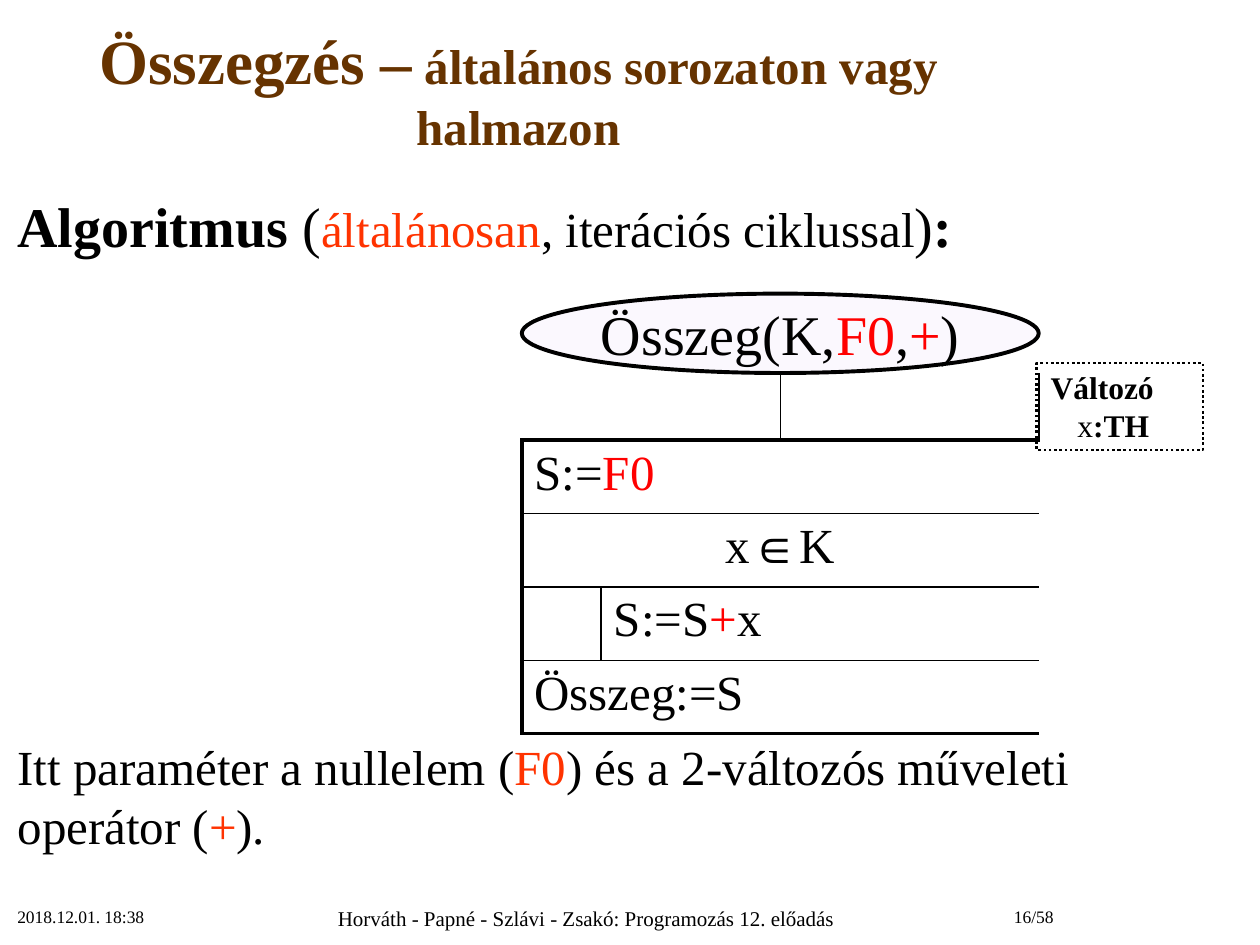
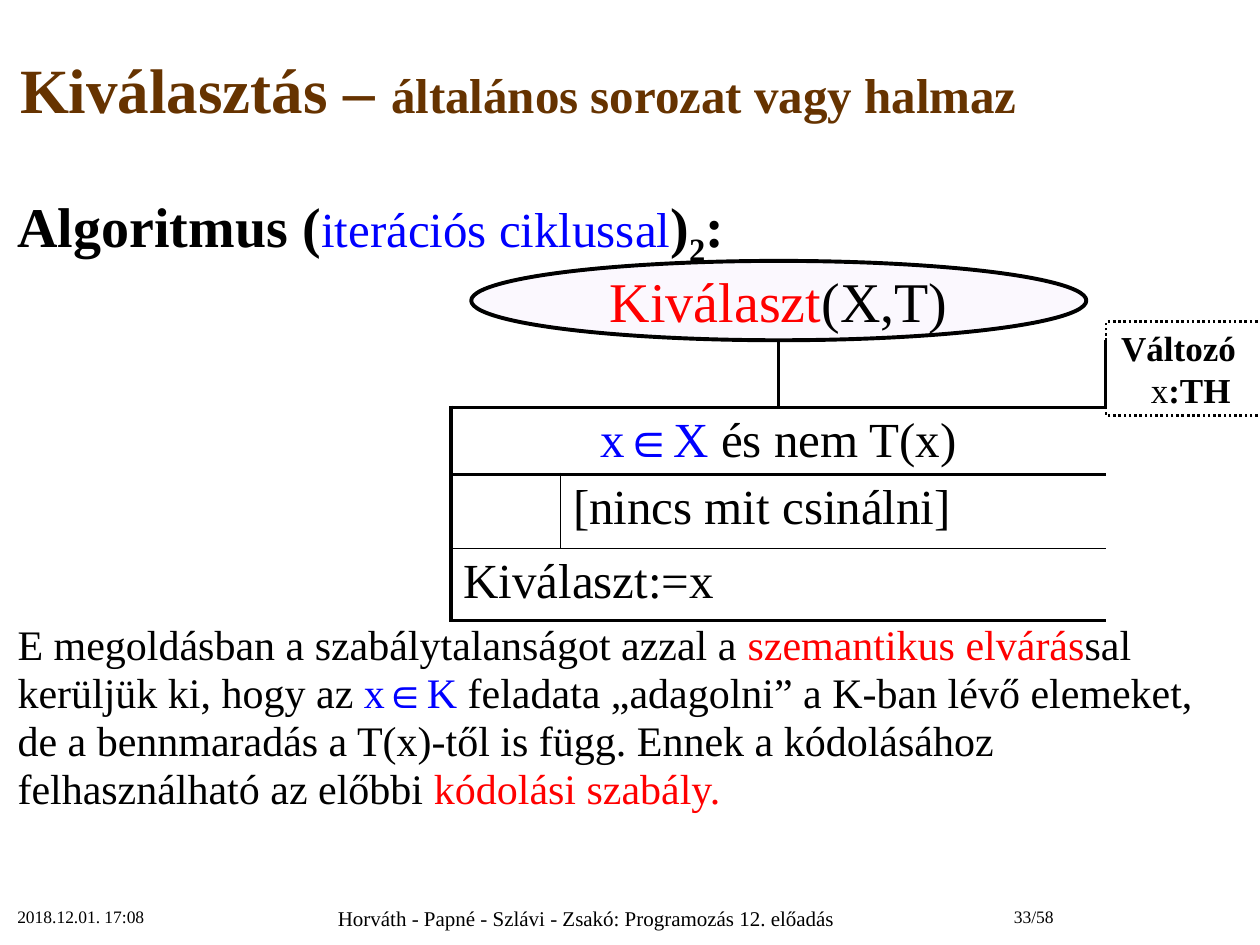
"""Build two slides on structograms for summation and selection."""
from dataclasses import dataclass
from typing import NamedTuple

from lxml import etree
from pptx import Presentation
from pptx import util as u
from pptx.dml.color import RGBColor
from pptx.enum import dml, shapes, text
from pptx.oxml.ns import qn

BLACK = RGBColor(0x00, 0x00, 0x00)
BROWN = RGBColor(0x66, 0x33, 0x00)
RED = RGBColor(0xFF, 0x00, 0x00)
CORAL = RGBColor(0xFF, 0x33, 0x00)
BLUE = RGBColor(0x00, 0x00, 0xFF)
LILAC = RGBColor(0xF3, 0xE8, 0xFE)
FONT = "Times New Roman"
FOOT = "Horváth - Papné - Szlávi - Zsakó: Programozás 12. előadás"
PLAIN = "{2D5ABB26-0587-4C30-8999-92F81FD0307C}"
THIN, THICK = 1, 2.25
LEFT, MID, RIGHT = text.PP_ALIGN.LEFT, text.PP_ALIGN.CENTER, text.PP_ALIGN.RIGHT


class Run(NamedTuple):
    """A piece of text in one format."""
    txt: str
    size: float = 28
    color: RGBColor = BLACK
    bold: bool = False
    base: int = 0


class Box(NamedTuple):
    """A place on the slide in centimetres."""
    x: float
    y: float
    w: float
    h: float


class Edge(NamedTuple):
    """Border widths of a cell in points, zero for none."""
    left: float = 0
    right: float = 0
    top: float = 0
    base: float = 0


class Field(NamedTuple):
    """A table cell that spans the columns first to last."""
    row: int
    first: int
    last: int
    edge: Edge
    runs: tuple[Run, ...] = ()
    align: text.PP_ALIGN = LEFT


@dataclass
class Chart:
    """A structogram: its head, its table and its note of variables."""
    head: Box
    name: list[Run]
    x: float
    y: float
    cols: list[float]
    rows: list[float]
    cells: list[Field]
    note: Box
    size: float


@dataclass
class Page:
    """All that one slide shows."""
    title: list[Run]
    lead: list[Run]
    tail: list[Run]
    gap: float
    space: float
    chart: Chart
    date: str
    num: str


def cm(box: Box) -> list[u.Length]:
    """Turn a box into lengths."""
    return [u.Cm(v) for v in box]


def place(shape, box: Box) -> None:
    """Move and size a shape."""
    shape.left, shape.top, shape.width, shape.height = cm(box)


def write(par, runs, align=LEFT) -> None:
    """Add runs to a paragraph."""
    par.alignment = align
    par.space_before = u.Pt(0)
    for item in runs:
        run = par.add_run()
        run.text = item.txt
        font = run.font
        font.name, font.size, font.bold = FONT, u.Pt(item.size), item.bold
        font.color.rgb = item.color
        if item.base:
            run._r.get_or_add_rPr().set("baseline", str(item.base * 1000))


def indent(par, size: float) -> None:
    """Set the left indent of a paragraph, with no hanging part."""
    props = par._p.get_or_add_pPr()
    props.set("marL", str(u.Cm(size)))
    props.set("indent", "0")


def title(slide, runs: list[Run]) -> None:
    """Fill the title placeholder."""
    shape = slide.shapes.title
    place(shape, Box(0, 0.23, 20.9, 3.1))
    frame = shape.text_frame
    frame.auto_size = text.MSO_AUTO_SIZE.NONE
    frame.vertical_anchor = text.MSO_ANCHOR.MIDDLE
    write(frame.paragraphs[0], runs, MID)


def body(slide, page: Page) -> None:
    """Fill the body placeholder above and below the structogram."""
    shape = slide.placeholders[1]
    place(shape, Box(0.1, 3.73, 24.82, 13.21))
    frame = shape.text_frame
    frame.auto_size = text.MSO_AUTO_SIZE.NONE
    for par, runs in ((frame.paragraphs[0], page.lead), (frame.add_paragraph(), page.tail)):
        indent(par, 0)
        etree.SubElement(par._p.get_or_add_pPr(), qn("a:buNone"))
        write(par, runs)
        par.line_spacing = page.space
    par.space_before = u.Cm(page.gap)


def label(slide, box: Box, txt: str, size: float, align) -> None:
    """Add one footer text."""
    frame = slide.shapes.add_textbox(*cm(box)).text_frame
    frame.word_wrap = True
    write(frame.paragraphs[0], [Run(txt, size)], align)


def foot(slide, page: Page) -> None:
    """Add date, course and page number."""
    label(slide, Box(0.1, 18.14, 5.28, 1), page.date, 10, LEFT)
    label(slide, Box(5.38, 18.14, 12.88, 0.91), FOOT, 12, MID)
    label(slide, Box(18.26, 18.14, 3.23, 1), page.num, 10, RIGHT)


def outline(slide, kind, box: Box, width: float):
    """Add a preset shape with a black line and no shadow."""
    shape = slide.shapes.add_shape(kind, *cm(box))
    shape.shadow.inherit = False
    shape.line.color.rgb = BLACK
    shape.line.width = u.Pt(width)
    return shape


def head(slide, box: Box, runs: list[Run]) -> None:
    """Draw the ellipse that names the procedure."""
    shape = outline(slide, shapes.MSO_SHAPE.OVAL, box, THICK)
    shape.fill.solid()
    shape.fill.fore_color.rgb = LILAC
    tint = shape._element.spPr.find(qn("a:solidFill"))[0]
    etree.SubElement(tint, qn("a:alpha"), val="30000")
    frame = shape.text_frame
    frame.word_wrap = False
    frame.vertical_anchor = text.MSO_ANCHOR.MIDDLE
    write(frame.paragraphs[0], runs, MID)


def note(slide, box: Box, size: float) -> None:
    """Draw the dotted box of local variables."""
    shape = outline(slide, shapes.MSO_SHAPE.RECTANGLE, box, 1.5)
    shape.fill.background()
    shape.line.dash_style = dml.MSO_LINE.ROUND_DOT
    frame = shape.text_frame
    frame.vertical_anchor = text.MSO_ANCHOR.TOP
    frame.margin_left = frame.margin_right = u.Cm(0.1)
    frame.margin_top = frame.margin_bottom = u.Cm(0.1)
    first, second = frame.paragraphs[0], frame.add_paragraph()
    indent(first, size * 0.01)
    write(first, [Run("Változó", size, bold=True)])
    indent(second, size * 0.04)
    write(second, [Run("x", size), Run(":TH", size, bold=True)])


def border(cell, edge: Edge) -> None:
    """Draw the borders of a cell."""
    props = cell._tc.get_or_add_tcPr()
    for side, width in zip("LRTB", edge):
        if width:
            line = etree.SubElement(props, qn(f"a:ln{side}"), w=str(u.Pt(width)))
            fill = etree.SubElement(line, qn("a:solidFill"))
            etree.SubElement(fill, qn("a:srgbClr"), val=str(BLACK))


def grid(slide, chart: Chart) -> None:
    """Draw the table of a structogram."""
    area = Box(chart.x, chart.y, sum(chart.cols), sum(chart.rows))
    table = slide.shapes.add_table(len(chart.rows), len(chart.cols), *cm(area)).table
    table.first_row = table.horz_banding = False
    table._tbl.tblPr[0].text = PLAIN
    for col, width in zip(table.columns, chart.cols):
        col.width = u.Cm(width)
    for row, height in zip(table.rows, chart.rows):
        row.height = u.Cm(height)
    for item in chart.cells:
        start = table.cell(item.row, item.first)
        if item.last > item.first:
            start.merge(table.cell(item.row, item.last))
        for num in range(item.first, item.last + 1):
            cell = table.cell(item.row, num)
            border(cell, item.edge._replace(
                left=item.edge.left if num == item.first else 0,
                right=item.edge.right if num == item.last else 0))
            cell.fill.background()
        if item.runs:
            write(start.text_frame.paragraphs[0], item.runs, item.align)


def stem(width: float) -> list[Field]:
    """Give the top row, whose inner border joins head and table."""
    return [Field(0, 0, 1, Edge(right=width, base=THICK)),
            Field(0, 2, 2, Edge(left=width, base=THICK))]


def loop(row: int, top: float, test: tuple, roof: float, act: tuple) -> list[Field]:
    """Give the two rows of a loop: its test and its action."""
    return [Field(row, 0, 2, Edge(THICK, THICK, top), test, MID),
            Field(row + 1, 0, 0, Edge(THICK, THIN, 0, THIN)),
            Field(row + 1, 1, 2, Edge(THIN, THICK, roof, THIN), act)]


def last(row: int, txt: str) -> Field:
    """Give the closing row."""
    return Field(row, 0, 2, Edge(THICK, THICK, THIN, THICK), (Run(txt),))


SUM = Page(
    title=[Run("Összegzés –", 36, BROWN, True),
           Run(" általános sorozaton vagy halmazon", 28, BROWN, True)],
    lead=[Run("Algoritmus ", 32, bold=True), Run("(", 32), Run("általánosan", color=CORAL),
          Run(", iterációs ciklussal"), Run(")", 32), Run(":", 32, bold=True)],
    tail=[Run("Itt paraméter a nullelem ("), Run("F0", color=CORAL),
          Run(") és a 2-változós műveleti operátor ("), Run("+", color=CORAL), Run(").")],
    gap=9.64, space=1.0,
    chart=Chart(
        Box(10.52, 5.92, 10.42, 1.6),
        [Run("Összeg(K,", 32), Run("F0", 32, RED), Run(",", 32), Run("+", 32, RED), Run(")", 32)],
        10.52, 7.52, [1.6, 3.61, 5.21], [1.35] + [1.48] * 4,
        [*stem(THIN),
         Field(1, 0, 2, Edge(THICK, THICK, THICK, THIN), (Run("S:="), Run("F0", color=RED))),
         *loop(2, THIN, (Run("x∈K"),), THIN, (Run("S:=S"), Run("+", color=RED), Run("x"))),
         last(4, "Összeg:=S")],
        Box(20.9, 7.32, 3.35, 1.75), 18),
    date="2018.12.01. 18:38", num="16/58")

PICK = Page(
    title=[Run("Kiválasztás – ", 36, BROWN, True),
           Run("általános sorozat vagy halmaz", 28, BROWN, True)],
    lead=[Run("Algoritmus (", 32, bold=True), Run("iterációs ciklussal", color=BLUE),
          Run(")", 32, bold=True), Run("2", 32, bold=True, base=-25), Run(":", 32, bold=True)],
    tail=[Run("E megoldásban a szabálytalanságot azzal a ", 24),
          Run("szemantikus elvárás", 24, RED), Run("sal kerüljük ki, hogy az ", 24),
          Run("x∈K", 24, BLUE),
          Run(" feladata „adagolni” a K-ban lévő elemeket, de a bennmaradás a T(x)-től is függ. "
              "Ennek a kódolásához felhasználható az előbbi ", 24),
          Run("kódolási szabály.", 24, RED)],
    gap=7.23, space=0.95,
    chart=Chart(
        Box(9.5, 5.26, 12.4, 1.6), [Run("Kiválaszt", 32, RED), Run("(X,T)", 32)],
        9.09, 6.86, [2.21, 4.39, 6.6], [1.35, 1.35, 1.5, 1.45],
        [*stem(THICK),
         *loop(1, THICK, (Run("x∈X ", color=BLUE), Run("és nem T(x)")), 0,
               (Run("[nincs mit csinálni]"),)),
         last(3, "Kiválaszt:=x")],
        Box(22.3, 6.48, 3.35, 1.9), 20),
    date="2018.12.01. 17:08", num="33/58")


def main() -> None:
    """Build and save the slides."""
    deck = Presentation()
    deck.slide_width, deck.slide_height = u.Cm(25.4), u.Cm(19.05)
    for page in (SUM, PICK):
        slide = deck.slides.add_slide(deck.slide_layouts[1])
        title(slide, page.title)
        body(slide, page)
        grid(slide, page.chart)
        head(slide, page.chart.head, page.chart.name)
        note(slide, page.chart.note, page.chart.size)
        foot(slide, page)
    deck.save("out.pptx")


if __name__ == "__main__":
    main()
